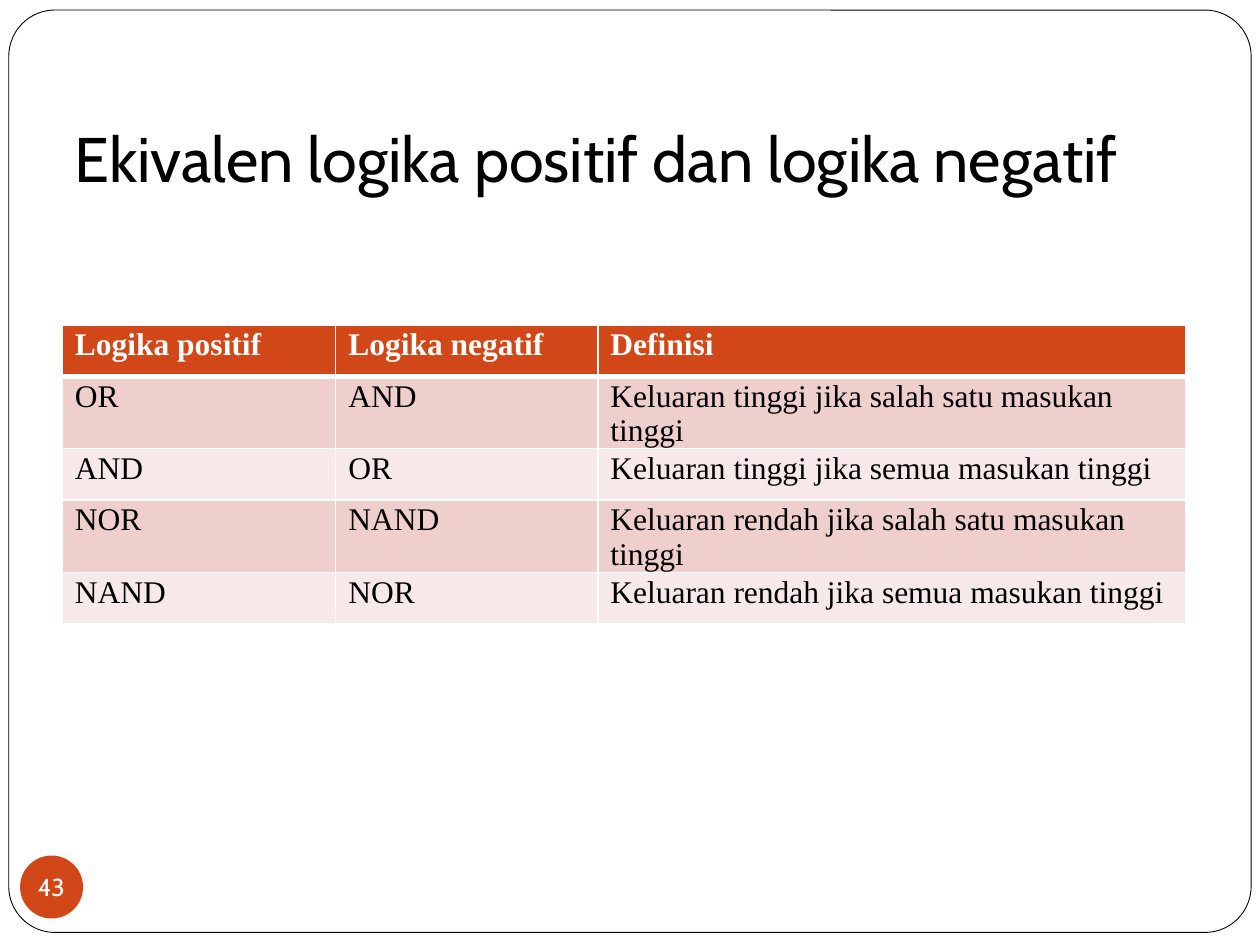
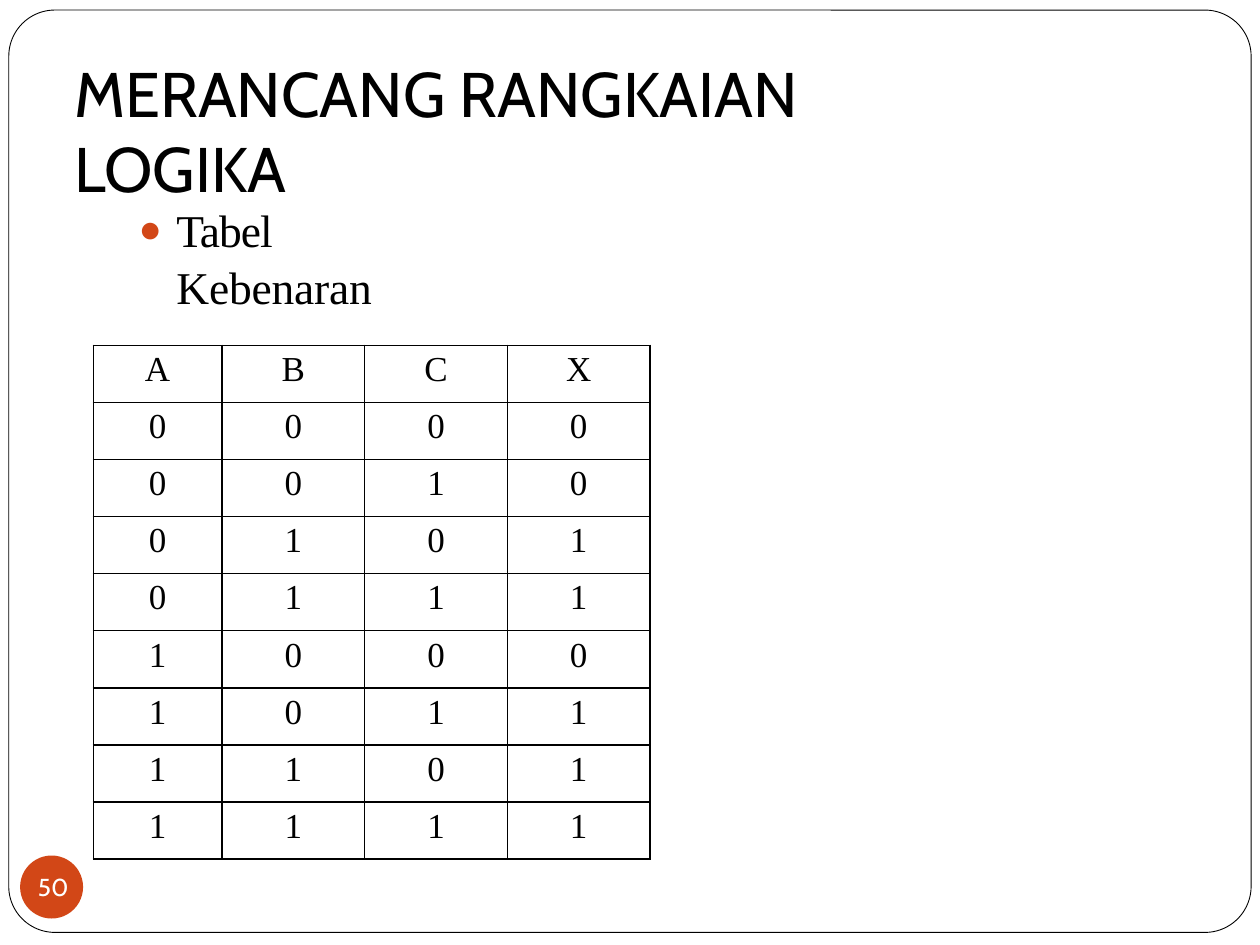
from dataclasses import dataclass
from itertools import product

from lxml import etree
from pptx import Presentation
from pptx.dml.color import RGBColor
from pptx.enum.shapes import MSO_SHAPE
from pptx.enum.text import MSO_ANCHOR, MSO_AUTO_SIZE, PP_ALIGN
from pptx.oxml.ns import qn
from pptx.util import Inches, Pt

ROUNDED, OVAL = MSO_SHAPE.ROUNDED_RECTANGLE, MSO_SHAPE.OVAL
TOP, NO_FIT = MSO_ANCHOR.TOP, MSO_AUTO_SIZE.NONE
LEFT, CENTER = PP_ALIGN.LEFT, PP_ALIGN.CENTER
LAYOUT_LIST, LAYOUT_TITLE = 1, 5
SLIDE_WIDTH, SLIDE_HEIGHT = Inches(10), Inches(7.5)
GRID_COLUMNS, GRID_ROWS = 100, 75
COLUMN, ROW = SLIDE_WIDTH // GRID_COLUMNS, SLIDE_HEIGHT // GRID_ROWS


@dataclass(frozen=True)
class Theme:
    ink: str = "000000"
    paper: str = "FFFFFF"
    accent: str = "D24717"
    bands: tuple = ("EECFCC", "F7E9E7")
    title_font: str = "Cabin"
    body_font: str = "Times New Roman"
    title_size: int = 36
    list_size: int = 26
    truth_size: int = 20
    definition_size: int = 18
    number_size: int = 14


@dataclass(frozen=True)
class Box:
    column: float
    row: float
    columns: float
    rows: float

    def inside(self, column, row, columns, rows):
        return Box(self.column + column, self.row + row, columns, rows)

    def lengths(self):
        return (round(self.column * COLUMN), round(self.row * ROW),
                round(self.columns * COLUMN), round(self.rows * ROW))


THEME = Theme()
FRAME = Box(0.7, 0.8, 98.6, 73.2)
BADGE = Box(1.6, 67.9, 5, 5)


def apply(target, values):
    for name, value in values.items():
        setattr(target, name, value)


def place(shape, box):
    apply(shape, dict(zip(("left", "top", "width", "height"), box.lengths())))


def format_frame(text_frame, margin_top=0):
    apply(text_frame, {
        "word_wrap": True, "auto_size": NO_FIT, "vertical_anchor": TOP,
        "margin_left": 0, "margin_right": 0, "margin_bottom": 0,
        "margin_top": margin_top,
    })


def write(paragraph, text, font, size, color, spacing=0, **paragraph_format):
    apply(paragraph, paragraph_format)
    run = paragraph.add_run()
    run.text = text
    apply(run.font, {"name": font, "size": Pt(size)})
    run.font.color.rgb = RGBColor.from_string(color)
    if spacing:
        run._r.get_or_add_rPr().set("spc", str(round(spacing * 100)))
    return run


def add_plain_shape(slide, preset, box, fill=None, line=None):
    shape = slide.shapes.add_shape(preset, *box.lengths())
    shape.shadow.inherit = False
    if fill:
        shape.fill.solid()
        shape.fill.fore_color.rgb = RGBColor.from_string(fill)
    else:
        shape.fill.background()
    if line:
        shape.line.color.rgb = RGBColor.from_string(line)
        shape.line.width = Pt(0.5)
    else:
        shape.line.fill.background()
    return shape


def add_badge(slide, box, number):
    add_plain_shape(slide, OVAL, box, fill=THEME.accent)
    label = slide.shapes.add_textbox(*box.inside(1.4, 1.3, 2.9, 2.5).lengths())
    format_frame(label.text_frame)
    write(label.text_frame.paragraphs[0], number, THEME.title_font,
          THEME.number_size, THEME.paper, line_spacing=Pt(16.6))


def add_base_slide(presentation, layout, title_box, title, number):
    slide = presentation.slides.add_slide(presentation.slide_layouts[layout])
    frame = add_plain_shape(slide, ROUNDED, FRAME, line=THEME.ink)
    frame.adjustments[0] = 0.05
    place(slide.shapes.title, title_box)
    text_frame = slide.shapes.title.text_frame
    format_frame(text_frame, Inches(0.01))
    write(text_frame.paragraphs[0], title, THEME.title_font, THEME.title_size,
          THEME.ink, alignment=LEFT, space_before=Pt(1))
    add_badge(slide, BADGE, number)
    return slide


def fill_list(placeholder, box, runs):
    place(placeholder, box)
    format_frame(placeholder.text_frame, Inches(0.01))
    paragraph = placeholder.text_frame.paragraphs[0]
    for text, spacing in runs:
        write(paragraph, text, THEME.body_font, THEME.list_size, THEME.ink,
              spacing, space_before=Pt(1.1), line_spacing=1.05)
    properties = paragraph._p.get_or_add_pPr()
    properties.set("marL", str(Inches(0.31)))
    properties.set("indent", str(-Inches(0.3)))
    bullet_color = etree.SubElement(properties, qn("a:buClr"))
    etree.SubElement(bullet_color, qn("a:srgbClr"), val=THEME.accent)
    etree.SubElement(properties, qn("a:buSzPct"), val="85000")
    etree.SubElement(properties, qn("a:buChar"), char="●")


def set_borders(cell, color, widths):
    properties = cell._tc.get_or_add_tcPr()
    for side, width in zip(("L", "R", "T", "B"), widths):
        line = etree.SubElement(properties, qn(f"a:ln{side}"), w=str(Pt(width)))
        fill = etree.SubElement(line, qn("a:solidFill"))
        etree.SubElement(fill, qn("a:srgbClr"), val=color)


def add_grid_table(slide, box, records, column_widths, format_cell):
    table = slide.shapes.add_table(len(records), len(column_widths), *box.lengths()).table
    apply(table, {"first_row": False, "horz_banding": False})
    for column, width in zip(table.columns, column_widths):
        column.width = round(box.columns * COLUMN * width / sum(column_widths))
    for row_index, record in enumerate(records):
        for column_index, text in enumerate(record):
            cell = table.cell(row_index, column_index)
            apply(cell, {"margin_left": 0, "margin_right": 0, "margin_bottom": 0})
            format_cell(cell, str(text), row_index)


def format_definition_cell(cell, text, row_index):
    is_header = row_index == 0
    apply(cell, {"margin_left": Inches(0.1), "margin_top": Inches(0.02)})
    run = write(cell.text_frame.paragraphs[0], text, THEME.body_font,
                THEME.definition_size, THEME.paper if is_header else THEME.ink,
                space_before=Pt(1.1))
    run.font.bold = is_header
    set_borders(cell, THEME.paper,
                (1, 1, 3 if row_index == 1 else 1, 3 if is_header else 1))
    cell.fill.solid()
    band = THEME.accent if is_header else THEME.bands[(row_index - 1) % 2]
    cell.fill.fore_color.rgb = RGBColor.from_string(band)


def format_truth_cell(cell, text, row_index):
    cell.margin_top = Inches(0.04)
    write(cell.text_frame.paragraphs[0], text, THEME.body_font, THEME.truth_size,
          THEME.ink, alignment=CENTER, space_before=Pt(3))
    set_borders(cell, THEME.ink, (1, 1, 1, 1))
    cell.fill.background()


def build_equivalence_slide(presentation):
    slide = add_base_slide(presentation, LAYOUT_TITLE, Box(5.9, 9.4, 89.4, 6.3),
                           "Ekivalen logika positif dan logika negatif", "43")
    definitions = [
        ("Logika positif", "Logika negatif", "Definisi"),
        ("OR", "AND", "Keluaran tinggi jika salah satu masukan tinggi"),
        ("AND", "OR", "Keluaran tinggi jika semua masukan tinggi"),
        ("NOR", "NAND", "Keluaran rendah jika salah satu masukan tinggi"),
        ("NAND", "NOR", "Keluaran rendah jika semua masukan tinggi"),
    ]
    add_grid_table(slide, Box(4.95, 25.8, 89.2, 20.4), definitions,
                   (2.17, 2.08, 4.67), format_definition_cell)


def build_truth_table_slide(presentation):
    slide = add_base_slide(presentation, LAYOUT_LIST, Box(5.9, 4.2, 71.7, 6.3),
                           "MERANCANG RANGKAIAN LOGIKA", "50")
    fill_list(slide.placeholders[1], Box(10.9, 15.7, 24.9, 4.6),
              [("Tabel ", -0.6), ("Kebenaran", -0.1)])
    truth_rows = [(a, b, c, b | a & c) for a, b, c in product((0, 1), repeat=3)]
    add_grid_table(slide, Box(7.4, 27.4, 44.2, 40.8), [("A", "B", "C", "X"), *truth_rows],
                   (1.02, 1.13, 1.13, 1.13), format_truth_cell)


def main():
    presentation = Presentation()
    apply(presentation, {"slide_width": SLIDE_WIDTH, "slide_height": SLIDE_HEIGHT})
    build_equivalence_slide(presentation)
    build_truth_table_slide(presentation)
    presentation.save("out.pptx")


if __name__ == "__main__":
    main()
